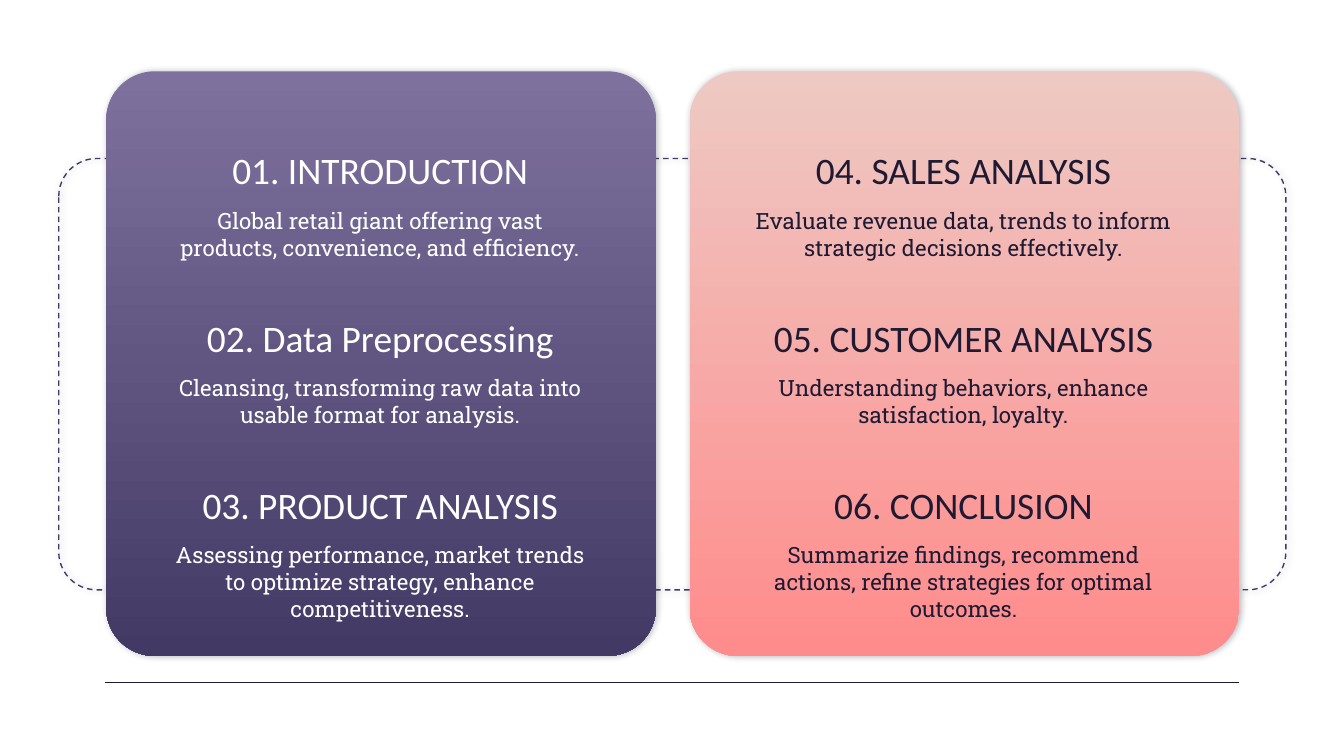
"""Build a two-card agenda slide with six numbered topics."""
from dataclasses import dataclass

from lxml.etree import SubElement
from pptx import Presentation
from pptx.dml.color import RGBColor
from pptx.enum.dml import MSO_LINE
from pptx.enum.shapes import MSO_CONNECTOR, MSO_SHAPE
from pptx.enum.text import MSO_ANCHOR, PP_ALIGN
from pptx.oxml.ns import qn
from pptx.shapes.autoshape import Shape
from pptx.slide import Slide
from pptx.util import Pt


@dataclass(frozen=True)
class Theme:
    dark: str = "1F1A33"
    violet: str = "423A64"
    lilac: str = "7E719E"
    blush: str = "EEC9C3"
    coral: str = "FF8C8C"
    white: str = "FFFFFF"
    heading_font: str = "Calibri"
    body_font: str = "Roboto Slab"
    heading_size: float = 20
    body_size: float = 12
    line_width: float = 0.75
    corner: float = 0.088


@dataclass(frozen=True)
class Box:
    x: float
    y: float
    w: float
    h: float


@dataclass(frozen=True)
class Topic:
    heading: str
    body: str


@dataclass(frozen=True)
class Card:
    x: float
    top_color: str
    bottom_color: str
    text_color: str
    topics: tuple[Topic, ...]


THEME = Theme()
CARD_Y, CARD_W, CARD_H = 38.2, 294.5, 313.2
TEXT_INSET, TEXT_W = 25.9, 241.9
TOPIC_Y, TOPIC_STEP = 77, 89.6
HEADING_H, BODY_OFFSET, BODY_H = 28.1, 26.7, 45.4

CARDS = (
    Card(369.4, THEME.blush, THEME.coral, THEME.dark, (
        Topic("04. SALES ANALYSIS",
              "Evaluate revenue data, trends to inform strategic decisions effectively."),
        Topic("05. CUSTOMER ANALYSIS",
              "Understanding behaviors, enhance satisfaction, loyalty."),
        Topic("06. CONCLUSION",
              "Summarize findings, recommend actions, refine strategies for optimal outcomes."),
    )),
    Card(56.9, THEME.lilac, THEME.violet, THEME.white, (
        Topic("01. INTRODUCTION",
              "Global retail giant offering vast products, convenience, and efficiency."),
        Topic("02. Data Preprocessing",
              "Cleansing, transforming raw data into usable format for analysis."),
        Topic("03. PRODUCT ANALYSIS",
              "Assessing performance, market trends to optimize strategy, enhance competitiveness."),
    )),
)


def rgb(color: str) -> RGBColor:
    return RGBColor.from_string(color)


def add_panel(s: Slide, box: Box) -> Shape:
    sp = s.shapes.add_shape(MSO_SHAPE.ROUNDED_RECTANGLE,
                            Pt(box.x), Pt(box.y), Pt(box.w), Pt(box.h))
    sp.adjustments[0] = THEME.corner
    sp.shadow.inherit = False
    effects = sp._element.spPr.find(qn("a:effectLst"))
    shadow = SubElement(effects, qn("a:outerShdw"), blurRad=str(Pt(3.4)),
                        dist=str(Pt(0.8)), dir="540000", algn="bl", rotWithShape="0")
    color = SubElement(shadow, qn("a:srgbClr"), val=THEME.dark)
    SubElement(color, qn("a:alpha"), val="30000")
    return sp


def add_frame(s: Slide, box: Box) -> None:
    sp = add_panel(s, box)
    sp.fill.background()
    sp.line.color.rgb = rgb(THEME.violet)
    sp.line.width = Pt(THEME.line_width)
    sp.line.dash_style = MSO_LINE.DASH


def add_rule(s: Slide, x1: float, x2: float, y: float) -> None:
    rule = s.shapes.add_connector(MSO_CONNECTOR.STRAIGHT, Pt(x1), Pt(y), Pt(x2), Pt(y))
    rule.line.color.rgb = rgb(THEME.dark)
    rule.line.width = Pt(THEME.line_width)
    SubElement(rule._element.spPr, qn("a:effectLst"))


def add_text(s: Slide, box: Box, text: str, font: str, size: float,
             color: str, anchor: MSO_ANCHOR) -> None:
    tf = s.shapes.add_textbox(Pt(box.x), Pt(box.y), Pt(box.w), Pt(box.h)).text_frame
    tf.word_wrap = True
    tf.vertical_anchor = anchor
    tf.margin_left = tf.margin_right = tf.margin_top = tf.margin_bottom = Pt(7.2)
    tf.text = text
    p = tf.paragraphs[0]
    p.alignment = PP_ALIGN.CENTER
    r = p.runs[0]
    r.font.name = font
    r.font.size = Pt(size)
    r.font.color.rgb = rgb(color)


def add_card(s: Slide, card: Card) -> None:
    sp = add_panel(s, Box(card.x, CARD_Y, CARD_W, CARD_H))
    sp.fill.gradient()
    sp.fill.gradient_angle = 270
    for stop, color in zip(sp.fill.gradient_stops, (card.top_color, card.bottom_color)):
        stop.color.rgb = rgb(color)
    sp.line.fill.background()
    x = card.x + TEXT_INSET
    for i, topic in enumerate(card.topics):
        y = TOPIC_Y + i * TOPIC_STEP
        add_text(s, Box(x, y, TEXT_W, HEADING_H), topic.heading, THEME.heading_font,
                 THEME.heading_size, card.text_color, MSO_ANCHOR.MIDDLE)
        add_text(s, Box(x, y + BODY_OFFSET, TEXT_W, BODY_H), topic.body, THEME.body_font,
                 THEME.body_size, card.text_color, MSO_ANCHOR.TOP)


def main() -> None:
    prs = Presentation()
    prs.slide_width, prs.slide_height = Pt(720), Pt(405)
    s = prs.slides.add_slide(prs.slide_layouts[6])
    add_rule(s, 56.2, 663.8, 365.8)
    add_frame(s, Box(31.5, 84.9, 657.4, 231.1))
    for card in CARDS:
        add_card(s, card)
    prs.save("out.pptx")


if __name__ == "__main__":
    main()
